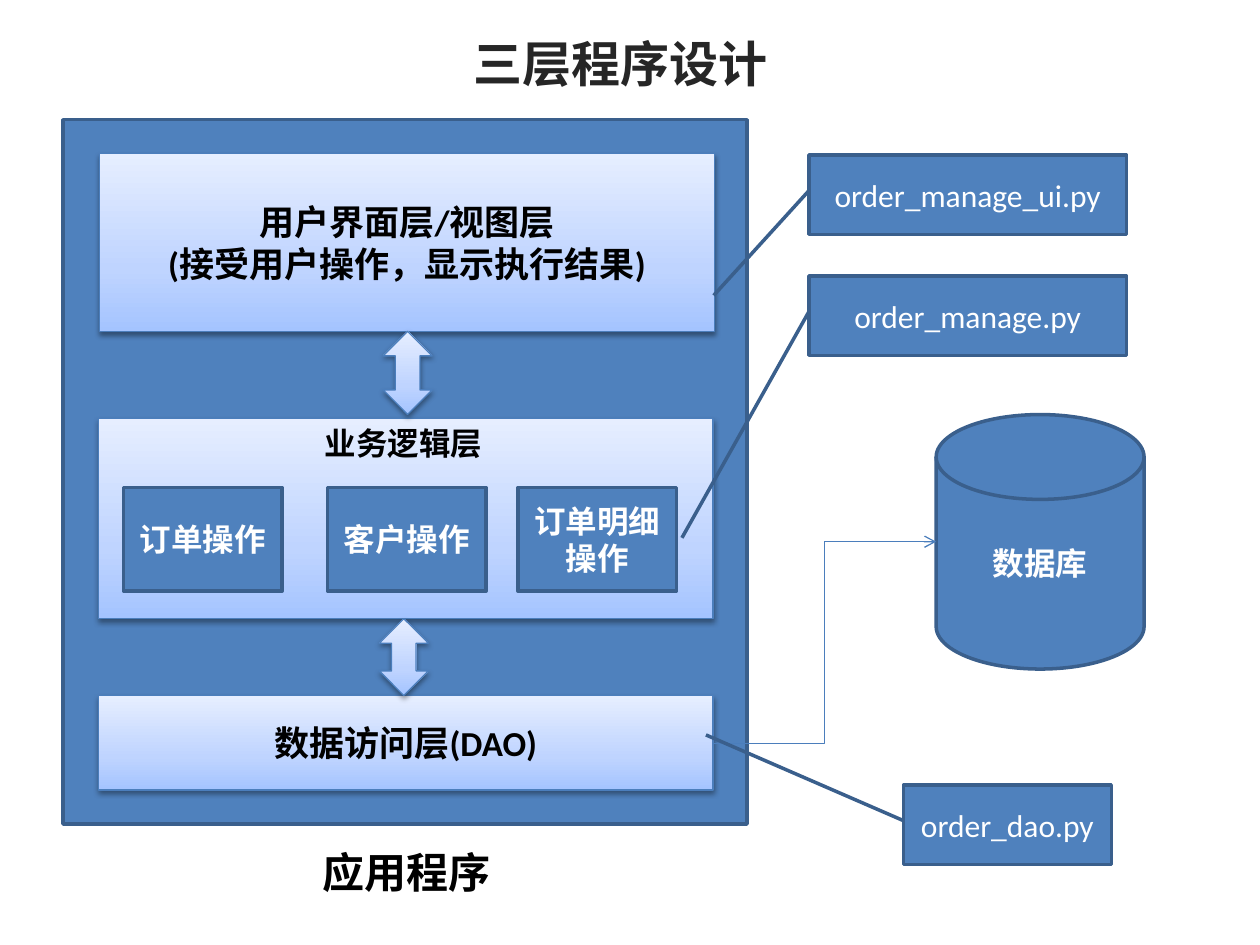
from dataclasses import dataclass
from lxml.etree import SubElement
from pptx import Presentation
from pptx.dml.color import RGBColor
from pptx.enum.shapes import MSO_CONNECTOR, MSO_SHAPE
from pptx.enum.text import MSO_ANCHOR, MSO_AUTO_SIZE, PP_ALIGN
from pptx.oxml.ns import qn
from pptx.util import Inches, Pt


@dataclass(frozen=True)
class Theme:
    blue: str = "4F81BD"
    edge: str = "3A5F8C"
    thin: str = "4B7EBC"
    black: str = "000000"
    white: str = "FFFFFF"
    dark: str = "262626"
    fade: tuple = ((0, "A4C4FF"), (35, "BFD4FF"), (100, "E6EEFF"))
    font: str = "Calibri"
    asian: str = "Noto Sans CJK SC"
    title: int = 28
    label: int = 24
    layer: int = 20
    body: int = 18


class Board:
    """Draws on a grid of 100 columns by 75 rows."""

    def __init__(self, deck, theme):
        self.theme = theme
        self.cell = deck.slide_width / 100
        self.slide = deck.slides.add_slide(deck.slide_layouts[6])

    def span(self, *cells):
        return [round(n * self.cell) for n in cells]

    def fill_text(self, frame, lines, size, color, bold=True, font=None, align=None):
        for i, line in enumerate(lines):
            para = frame.paragraphs[0] if i == 0 else frame.add_paragraph()
            para.alignment = align
            run = para.add_run()
            run.text = line
            run.font.name = font or self.theme.font
            run.font.size = Pt(size)
            run.font.bold = bold
            run.font.color.rgb = RGBColor.from_string(color)
            asian = SubElement(run.font._element, qn("a:ea"))
            asian.set("typeface", self.theme.asian)

    def shape(self, kind, area, lines=(), size=None, color=None, bold=True,
              edge=None, width=2):
        item = self.slide.shapes.add_shape(kind, *self.span(*area))
        item.fill.solid()
        item.fill.fore_color.rgb = RGBColor.from_string(self.theme.blue)
        item.line.color.rgb = RGBColor.from_string(edge or self.theme.edge)
        item.line.width = Pt(width)
        item.shadow.inherit = False
        frame = item.text_frame
        frame.word_wrap = True
        frame.vertical_anchor = MSO_ANCHOR.MIDDLE
        self.fill_text(frame, lines, size or self.theme.body,
                       color or self.theme.white, bold, align=PP_ALIGN.CENTER)
        return item

    def glow(self, kind, area, lines=()):
        """A shape with a gradient fill and a soft shadow."""
        item = self.shape(kind, area, lines, self.theme.layer,
                          self.theme.black, edge=self.theme.thin, width=0.75)
        item.fill.gradient()
        item.fill.gradient_angle = 90
        props = item._element.spPr
        stops = props.find(".//" + qn("a:gsLst"))
        for stop in list(stops):
            stops.remove(stop)
        for place, color in self.theme.fade:
            stop = SubElement(stops, qn("a:gs"), pos=str(place * 1000))
            SubElement(stop, qn("a:srgbClr"), val=color)
        shade = SubElement(props.find(qn("a:effectLst")), qn("a:outerShdw"),
                           blurRad=str(Pt(3.1)), dist=str(Pt(1.6)),
                           dir="5400000", rotWithShape="0")
        tint = SubElement(shade, qn("a:srgbClr"), val=self.theme.black)
        SubElement(tint, qn("a:alpha"), val="38000")

    def note(self, area, name, tip):
        """A file name whose leader ends at tip, as (down, across) shares."""
        item = self.shape(MSO_SHAPE.LINE_CALLOUT_1, area, [name], bold=False)
        for i, share in enumerate((0.45, 0, *tip)):
            item.adjustments[i] = share

    def label(self, area, text, size, color, font=None):
        frame = self.slide.shapes.add_textbox(*self.span(*area)).text_frame
        frame.word_wrap = False
        frame.auto_size = MSO_AUTO_SIZE.SHAPE_TO_FIT_TEXT
        self.fill_text(frame, [text], size, color, font=font)

    def link(self, start, end):
        item = self.slide.shapes.add_connector(
            MSO_CONNECTOR.ELBOW, *self.span(*start, *end))
        item.line.color.rgb = RGBColor.from_string(self.theme.thin)
        item.line.width = Pt(0.75)
        SubElement(item._element.spPr.find(qn("a:ln")), qn("a:tailEnd"), type="arrow")
        SubElement(item._element.spPr, qn("a:effectLst"))


def main():
    deck = Presentation()
    deck.slide_width, deck.slide_height = Inches(10), Inches(7.5)
    theme = Theme()
    board = Board(deck, theme)
    rect, arrow = MSO_SHAPE.RECTANGLE, MSO_SHAPE.UP_DOWN_ARROW

    # Database and application frame
    board.shape(MSO_SHAPE.FLOWCHART_MAGNETIC_DISK, (74.3, 32.9, 16.5, 20.2), ["数据库"])
    board.shape(rect, (5, 9.5, 54.3, 55.9))
    board.label((24.6, 66.7, 15.6, 5), "应用程序", theme.label, theme.black)

    # Three layers, with the link from data access to the database
    left, wide = 7.8, 48.8
    board.glow(rect, (left, 55.2, wide, 7.5), ["数据访问层(DAO)"])
    board.link((left + wide, 59), (74.3, 43))
    board.glow(rect, (left, 33.2, wide, 15.9))
    board.glow(rect, (left + 0.1, 12.2, wide, 14.1),
               ["用户界面层/视图层", "(接受用户操作，显示执行结果)"])

    # Business operations
    for x, name in ((9.8, "订单操作"), (26, "客户操作"), (41.1, "订单明细操作")):
        board.shape(rect, (x, 38.7, 12.6, 8.2), [name])

    # Source files
    for x, y, wide, name, tip in (
            (64.2, 12.3, 25.2, "order_manage_ui.py", (1.77, -0.3)),
            (64.2, 21.9, 25.2, "order_manage.py", (3.3, -0.4)),
            (71.7, 62.3, 16.5, "order_dao.py", (-0.63, -0.95))):
        board.note((x, y, wide, 6.3), name, tip)

    # Headings
    board.label((36.6, 2.2, 25.3, 5.7), "三层程序设计", theme.title, theme.dark, theme.asian)
    board.label((24.8, 33.2, 14.6, 4), "业务逻辑层", theme.body, theme.black)

    # Arrows between the layers
    for x, y, tall in ((30.4, 26.3, 6.6), (30.1, 49.1, 6.1)):
        board.glow(arrow, (x, y, 3.9, tall))

    deck.save("out.pptx")


if __name__ == "__main__":
    main()
